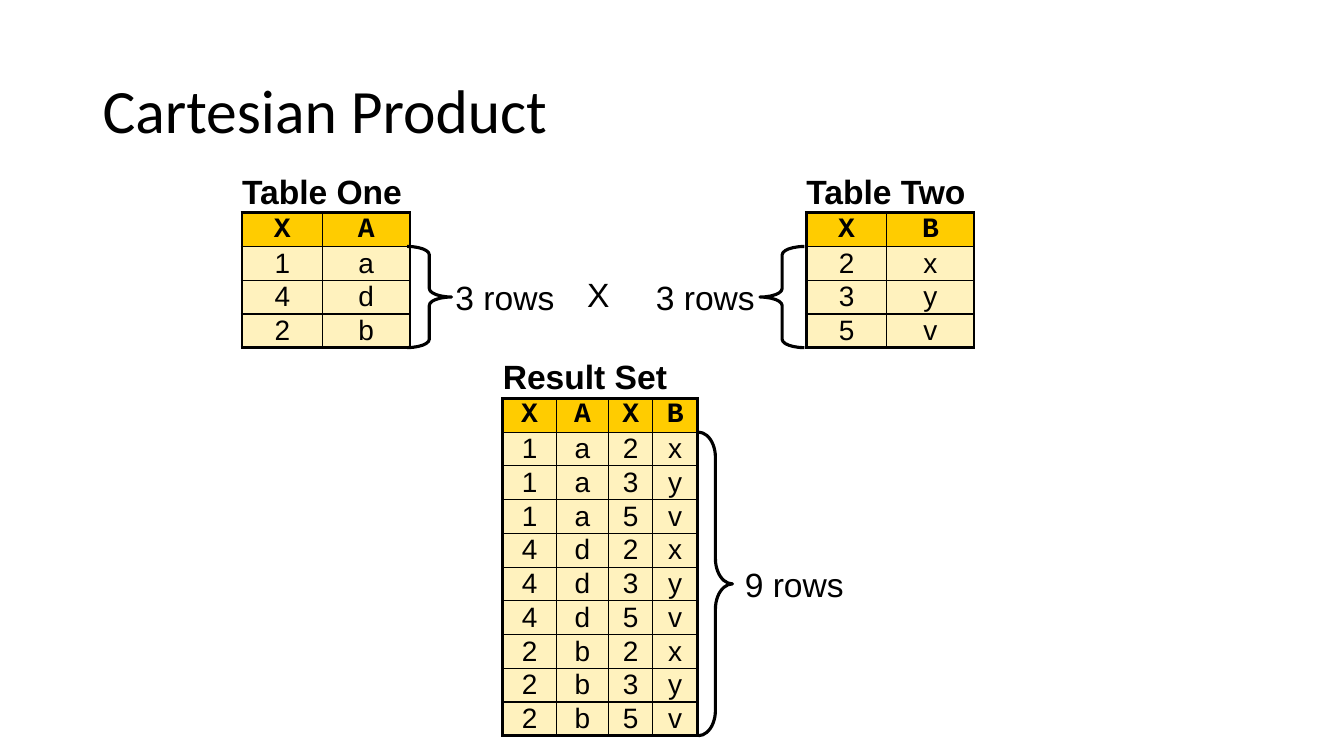
from itertools import product

from pptx import Presentation
from pptx.dml.color import RGBColor as RGB
from pptx.enum.shapes import MSO_SHAPE as Shape
from pptx.enum.text import MSO_ANCHOR as Anchor, MSO_AUTO_SIZE as Fit, PP_ALIGN as Align
from pptx.oxml.ns import qn
from pptx.util import Cm, Pt
from lxml.etree import SubElement

HUES = {"ink": "000000", "head": "FFCC00", "body": "FFF2BE"}
THICK, THIN = Pt(2.25), Pt(1)
CAP, ROW = 1.02, 0.85  # heights of caption and data rows, cm

TITLE = {"name": "Calibri", "size": Pt(44), "bold": False}
NAME = {"name": "Arial", "size": Pt(24), "bold": True}
HEAD = {"name": "Courier New", "size": Pt(20), "bold": True}
DATA = {"name": "Arial", "size": Pt(20), "bold": False}
LABEL = {"name": "Arial", "size": Pt(24), "bold": False}

ONE = [("1", "a"), ("4", "d"), ("2", "b")]
TWO = [("2", "x"), ("3", "y"), ("5", "v")]


def hue(key):
    return RGB.from_string(HUES[key])


def write(frame, text, form, align=Align.LEFT):
    frame.text = text
    para = frame.paragraphs[0]
    para.alignment = align
    font = para.runs[0].font
    for key, value in form.items():
        setattr(font, key, value)
    font.color.rgb = hue("ink")
    return para


def edge(cell, sides):
    """Draw the cell borders; a width of 0 hides the side."""
    props = cell._tc.get_or_add_tcPr()
    for side in "LRTB":
        width = sides[side]
        line = SubElement(props, qn("a:ln" + side), w=str(int(width)))
        if width:
            fill = SubElement(line, qn("a:solidFill"))
            SubElement(fill, qn("a:srgbClr"), val=HUES["ink"])
        else:
            SubElement(line, qn("a:noFill"))


def add_grid(slide, x, y, name, heads, rows, cols):
    """Captioned table with a thick frame around its heads and rows."""
    lines = [heads, *rows]
    last, end = len(lines), len(cols) - 1
    frame = slide.shapes.add_table(last + 1, len(cols), Cm(x), Cm(y),
                                   Cm(sum(cols)), Cm(CAP + ROW * last))
    table = frame.table
    table.first_row = table.horz_banding = False
    for col, width in zip(table.columns, cols):
        col.width = Cm(width)
    for r, row in enumerate(table.rows):
        row.height = Cm(ROW if r else CAP)

    # Caption
    for cell in table.rows[0].cells:
        edge(cell, {"L": 0, "R": 0, "T": 0, "B": THICK})
        cell.fill.background()
    top = table.cell(0, 0)
    top.merge(table.cell(0, end))
    top.margin_left = top.margin_right = top.margin_top = top.margin_bottom = 0
    top.vertical_anchor = Anchor.MIDDLE
    write(top.text_frame, name, NAME)

    # Heads and rows
    for r, line in enumerate(lines, 1):
        for c, text in enumerate(line):
            cell = table.cell(r, c)
            edge(cell, {"L": THIN if c else THICK,
                        "R": THICK if c == end else THIN,
                        "T": THICK if r == 1 else THIN,
                        "B": THICK if r == last else THIN})
            cell.fill.solid()
            cell.fill.fore_color.rgb = hue("head" if r == 1 else "body")
            cell.margin_top = cell.margin_bottom = 0
            cell.margin_left = cell.margin_right = Cm(0.25)
            cell.vertical_anchor = Anchor.MIDDLE
            write(cell.text_frame, text, HEAD if r == 1 else DATA, Align.CENTER)


def add_label(slide, x, mid, wide, text):
    """Text box centred on the height mid."""
    tall = 1.52
    box = slide.shapes.add_textbox(Cm(x), Cm(mid - tall / 2), Cm(wide), Cm(tall))
    frame = box.text_frame
    frame.word_wrap = False
    frame.auto_size = Fit.SHAPE_TO_FIT_TEXT
    frame.margin_left = frame.margin_right = Cm(0.25)
    frame.margin_top = frame.margin_bottom = Cm(0.25)
    write(frame, text, LABEL)


def add_brace(slide, x, y, wide, count, curl, gap, left=False):
    """Brace beside the rows of a table whose top is y, with their count."""
    top, tall, span = y + CAP + ROW, ROW * count, 3.02
    brace = slide.shapes.add_shape(Shape.RIGHT_BRACE, Cm(x), Cm(top), Cm(wide), Cm(tall))
    brace.shadow.inherit = False
    brace.adjustments[0] = curl
    brace.rotation = 180 if left else 0
    brace.fill.background()
    brace.line.color.rgb = hue("ink")
    brace.line.width = THICK
    start = x - gap - span if left else x + wide + gap
    add_label(slide, start, top + tall / 2, span, f"{count} rows")


def add_title(slide, x, y, wide, tall, text):
    title = slide.shapes.title
    title.left, title.top, title.width, title.height = Cm(x), Cm(y), Cm(wide), Cm(tall)
    frame = title.text_frame
    frame.auto_size = Fit.NONE
    frame.vertical_anchor = Anchor.MIDDLE
    write(frame, text, TITLE).line_spacing = 0.9


def main():
    deck = Presentation()
    deck.slide_width, deck.slide_height = Cm(33.87), Cm(19.05)
    slide = deck.slides.add_slide(deck.slide_layouts[5])
    add_title(slide, 2.33, 1.01, 29.21, 3.68, "Cartesian Product")

    # Source tables
    y = 4.34
    pair = [2.03, 2.2]
    add_grid(slide, 6.1, y, "Table One", "XA", ONE, pair)
    add_grid(slide, 20.32, y, "Table Two", "XB", TWO, pair)
    add_brace(slide, 10.26, y, 1.12, len(ONE), 0.19, -0.15)
    add_brace(slide, 19.15, y, 1.12, len(TWO), 0.19, -0.15, left=True)
    add_label(slide, 14.55, 7.42, 1.27, "X")

    # Every pairing of their rows
    both = [a + b for a, b in product(ONE, TWO)]
    add_grid(slide, 12.67, 9.02, "Result Set", "XAXB", both, [1.35, 1.32, 1.11, 1.13])
    add_brace(slide, 17.6, 9.02, 0.86, len(both), 0.74, 0.06)

    deck.save("out.pptx")


if __name__ == "__main__":
    main()
